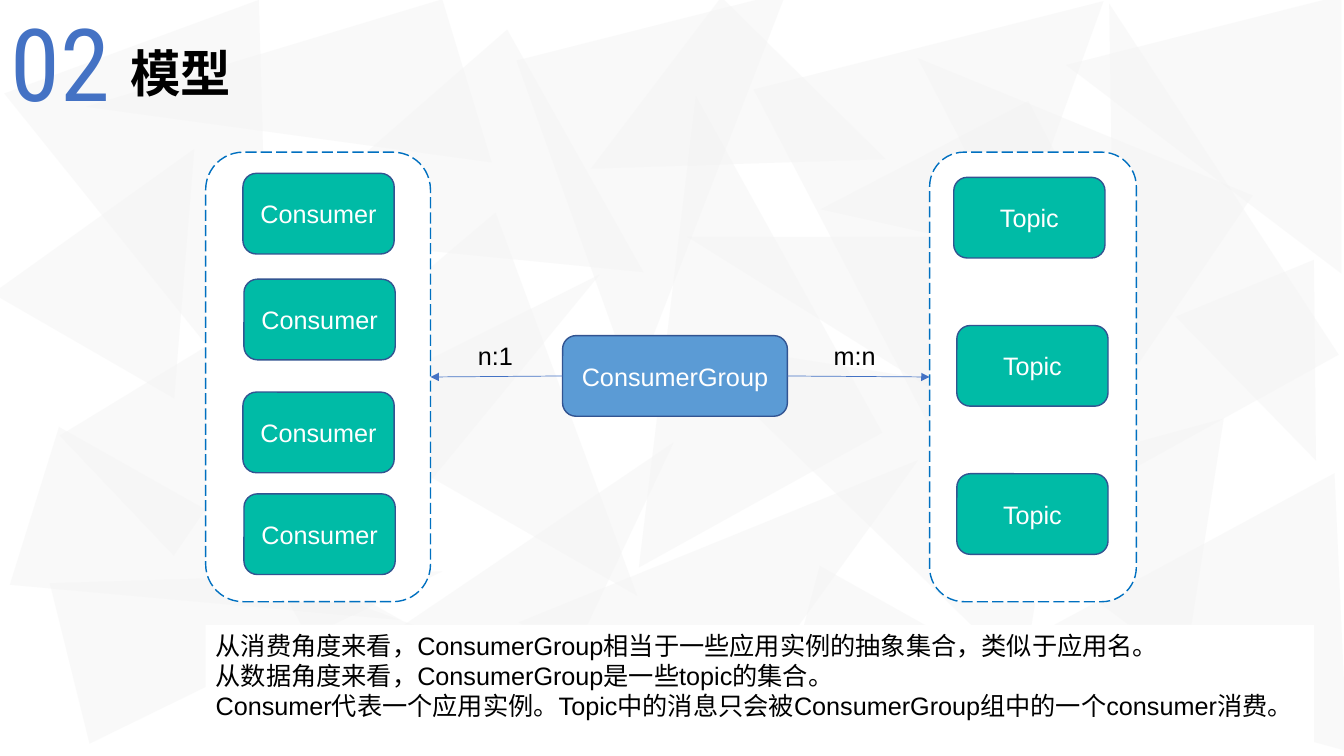
"""Build the consumer group model slide."""
from typing import NamedTuple

from lxml.etree import SubElement
from pptx import Presentation
from pptx.dml.color import RGBColor
from pptx.enum.dml import MSO_LINE
from pptx.enum.shapes import MSO_CONNECTOR, MSO_SHAPE
from pptx.enum.text import MSO_ANCHOR, MSO_AUTO_SIZE, PP_ALIGN
from pptx.oxml.ns import qn
from pptx.util import Inches, Pt

TEAL, BLUE, EDGE = "00BBA6", "5B9BD5", "325491"
ACCENT, DASH, WHITE, BLACK = "4472C4", "0070C0", "FFFFFF", "000000"


class Box(NamedTuple):
    left: float
    top: float
    width: float
    height: float


class Facet(NamedTuple):
    box: Box
    rotation: float
    apex: float = 0.5


class Node(NamedTuple):
    text: str
    box: Box
    fill: str = TEAL


class Link(NamedTuple):
    label: str
    label_box: Box
    start_x: float
    end_x: float


FACETS = [
    Facet(Box(1.34, 3.68, 1.64, 3.81), 107.3),
    Facet(Box(1.72, 4.22, 1.64, 3.81), 76.1),
    Facet(Box(0.65, 0.34, 2.69, 4), 159.8),
    Facet(Box(1.72, 1.7, 1.64, 3.81), 46.5),
    Facet(Box(4.89, 4.15, 1.76, 3.18), 46.5, 0.3),
    Facet(Box(3.71, 2.55, 2.76, 3.81), 139.8),
    Facet(Box(9.44, 3.91, 2.49, 2.55), 278.9, 0.54),
    Facet(Box(7.06, 3.09, 2.76, 3.9), 278.9, 1),
    Facet(Box(5.99, 3.56, 2.27, 3.62), 35.8, 1),
    Facet(Box(9.91, 0.24, 2.52, 4.15), 331, 0.88),
    Facet(Box(5.24, 1.39, 2.76, 3.81), 331, 1),
    Facet(Box(6.08, 0.47, 2.29, 2.12), 224.6, 0.88),
    Facet(Box(7.9, 0.39, 3.58, 3.91), 165.8, 0.74),
    Facet(Box(5.5, 0.21, 2.76, 3.42), 165.8, 0.88),
    Facet(Box(3, 0.72, 2.76, 3.04), 240.7, 0.77),
    Facet(Box(10.21, 4.44, 2.76, 3.42), 267.4, 0.4),
    Facet(Box(7.29, 1.88, 1.56, 2.5), 270, 1),
    Facet(Box(-0.35, 1.7, 2.48, 1.88), 274.6, 0.36),
    Facet(Box(2.02, -0.51, 1.69, 3.69), 253.2, 1),
    Facet(Box(10.56, -0.03, 2.76, 2.73), 270, 0.75),
    Facet(Box(3.51, 1.88, 1.64, 3.81), 46.5, 0.71),
    Facet(Box(8.75, 5.14, 1.94, 3.81), 105),
    Facet(Box(11.96, 2.79, 1.48, 1.85), 157.6),
    Facet(Box(2.69, 5.39, 1.48, 1.97), 308.3, 0.56),
    Facet(Box(8.91, 0.29, 2.64, 3.51), 304.2, 0.72),
    Facet(Box(8.46, 1.43, 2.32, 1.95), 152.5, 0),
]
GROUPS = [Box(2.04, 1.51, 2.23, 4.46), Box(9.22, 1.51, 2.05, 4.46)]
CONSUMERS = [(2.41, 1.72), (2.42, 2.77), (2.41, 3.89), (2.42, 4.9)]
TOPICS = [(left, 1.76 + 1.47 * row) for row, left in enumerate((9.46, 9.49, 9.49))]
NODES = [
    *(Node("Consumer", Box(left, top, 1.5, 0.8)) for left, top in CONSUMERS),
    Node("ConsumerGroup", Box(5.58, 3.33, 2.23, 0.8), BLUE),
    *(Node("Topic", Box(left, top, 1.5, 0.8)) for left, top in TOPICS),
]
LINKS = [
    Link("m:n", Box(8.17, 3.33, 0.7, 0.4), 7.81, 9.22),
    Link("n:1", Box(4.64, 3.33, 0.62, 0.4), 5.58, 4.27),
]
NOTES = [
    "从消费角度来看，ConsumerGroup相当于一些应用实例的抽象集合，类似于应用名。",
    "从数据角度来看，ConsumerGroup是一些topic的集合。",
    "Consumer代表一个应用实例。Topic中的消息只会被ConsumerGroup组中的一个consumer消费。",
]


def paint(color_format, color: str) -> None:
    """Apply a hex colour to a fill, line fill or font fill."""
    color_format.solid()
    color_format.fore_color.rgb = RGBColor.from_string(color)


def write(shape, lines: list[str], size: float = 18, color: str = BLACK,
          align=PP_ALIGN.LEFT, anchor=MSO_ANCHOR.TOP, font: str = "Arial",
          bold: bool = False, inset: bool = True) -> None:
    """Fill a shape with uniformly formatted paragraphs."""
    frame = shape.text_frame
    frame.text = "\n".join(lines)
    frame.word_wrap = True
    frame.auto_size = MSO_AUTO_SIZE.NONE
    frame.vertical_anchor = anchor
    if not inset:
        frame.margin_left = frame.margin_right = 0
        frame.margin_top = frame.margin_bottom = 0
    for paragraph in frame.paragraphs:
        paragraph.alignment = align
        paragraph.font.name = font
        paragraph.font.size = Pt(size)
        paragraph.font.bold = bold
        paint(paragraph.font.fill, color)


def add_box(slide, kind, box: Box, fill: str, line: str = ""):
    """Add a flat preset shape."""
    shape = slide.shapes.add_shape(kind, *map(Inches, box))
    shape.shadow.inherit = False
    paint(shape.fill, fill)
    if line:
        paint(shape.line.fill, line)
        shape.line.width = Pt(1)
    else:
        shape.line.fill.background()
    return shape


def add_facet(slide, facet: Facet, number: int) -> None:
    """Add a translucent triangle to the layout behind the slide."""
    triangle = add_box(slide, MSO_SHAPE.ISOSCELES_TRIANGLE, facet.box, "F2F2F2")
    triangle.rotation = facet.rotation
    triangle.adjustments[0] = facet.apex
    element = triangle._element
    tint = element.spPr.find(qn("a:solidFill")).find(qn("a:srgbClr"))
    SubElement(tint, qn("a:alpha"), val="42000")
    element.nvSpPr.cNvPr.set("id", str(100 + number))
    slide.slide_layout.shapes._spTree.append(element)


def add_link(slide, link: Link) -> None:
    """Add an arrow and its cardinality label."""
    write(slide.shapes.add_textbox(*map(Inches, link.label_box)), [link.label])
    arrow = slide.shapes.add_connector(
        MSO_CONNECTOR.STRAIGHT,
        *map(Inches, (link.start_x, 3.73, link.end_x, 3.74)))
    paint(arrow.line.fill, ACCENT)
    arrow.line.width = Pt(0.5)
    SubElement(arrow.line._get_or_add_ln(), qn("a:tailEnd"), type="triangle")
    SubElement(arrow._element.spPr, qn("a:effectLst"))


def main() -> None:
    """Assemble and save the slide."""
    deck = Presentation()
    deck.slide_width, deck.slide_height = Inches(13.33), Inches(7.5)
    slide = deck.slides.add_slide(deck.slide_layouts[5])
    for number, facet in enumerate(FACETS):
        add_facet(slide, facet, number)

    title = slide.shapes.title
    title.left, title.top, title.width, title.height = map(
        Inches, (1.29, 0.36, 3.45, 0.8))
    write(title, ["模型"], 36, bold=True, inset=False)
    title.text_frame.paragraphs[0].line_spacing = 1.1
    section = slide.shapes.add_textbox(*map(Inches, (0, 0.01, 1.2, 1.2)))
    write(section, ["02"], 72, ACCENT, PP_ALIGN.CENTER, MSO_ANCHOR.MIDDLE,
          "Roboto Condensed", inset=False)

    for box in GROUPS:
        group = add_box(slide, MSO_SHAPE.ROUNDED_RECTANGLE, box, WHITE, DASH)
        group.line.dash_style = MSO_LINE.LONG_DASH
    for node in NODES:
        card = add_box(slide, MSO_SHAPE.ROUNDED_RECTANGLE, node.box, node.fill, EDGE)
        write(card, [node.text], 18, WHITE, PP_ALIGN.CENTER, MSO_ANCHOR.MIDDLE)
    for link in LINKS:
        add_link(slide, link)
    summary = add_box(slide, MSO_SHAPE.RECTANGLE, Box(2.04, 6.2, 10.99, 1.31), WHITE)
    write(summary, NOTES)
    deck.save("out.pptx")


if __name__ == "__main__":
    main()
